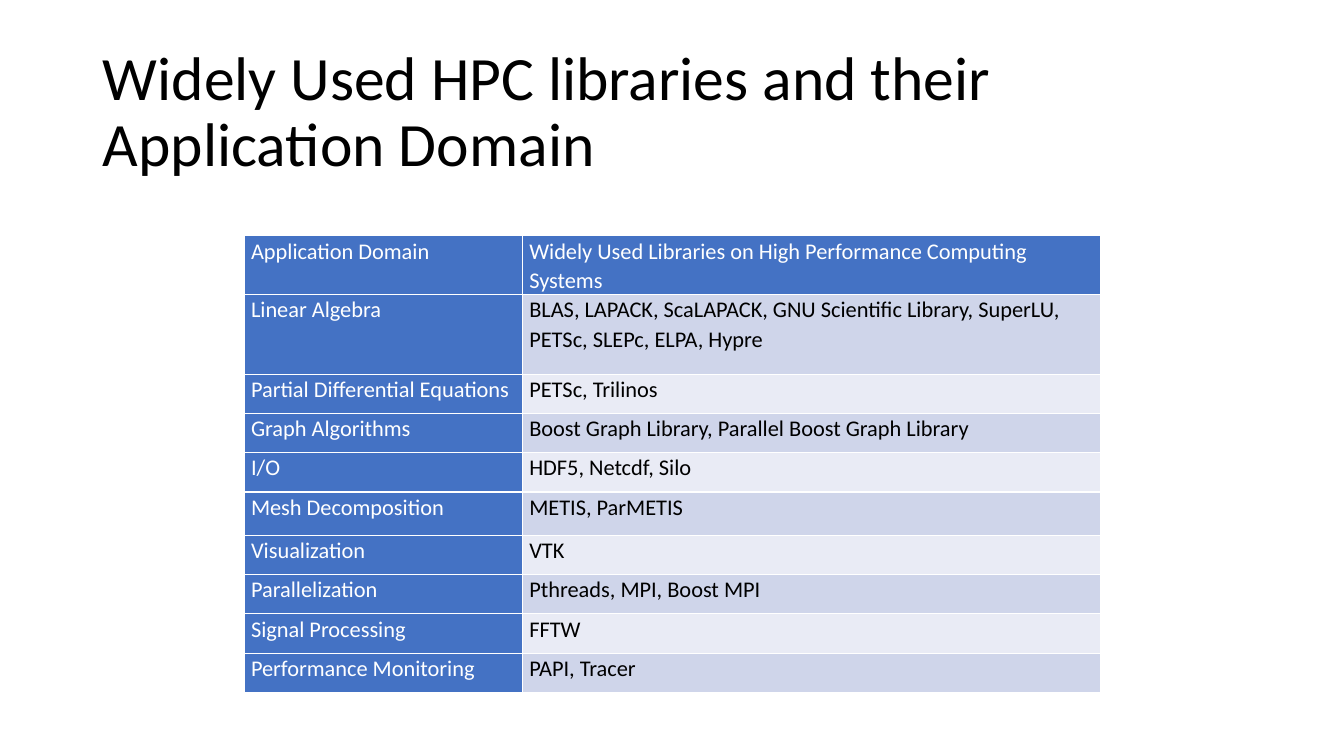
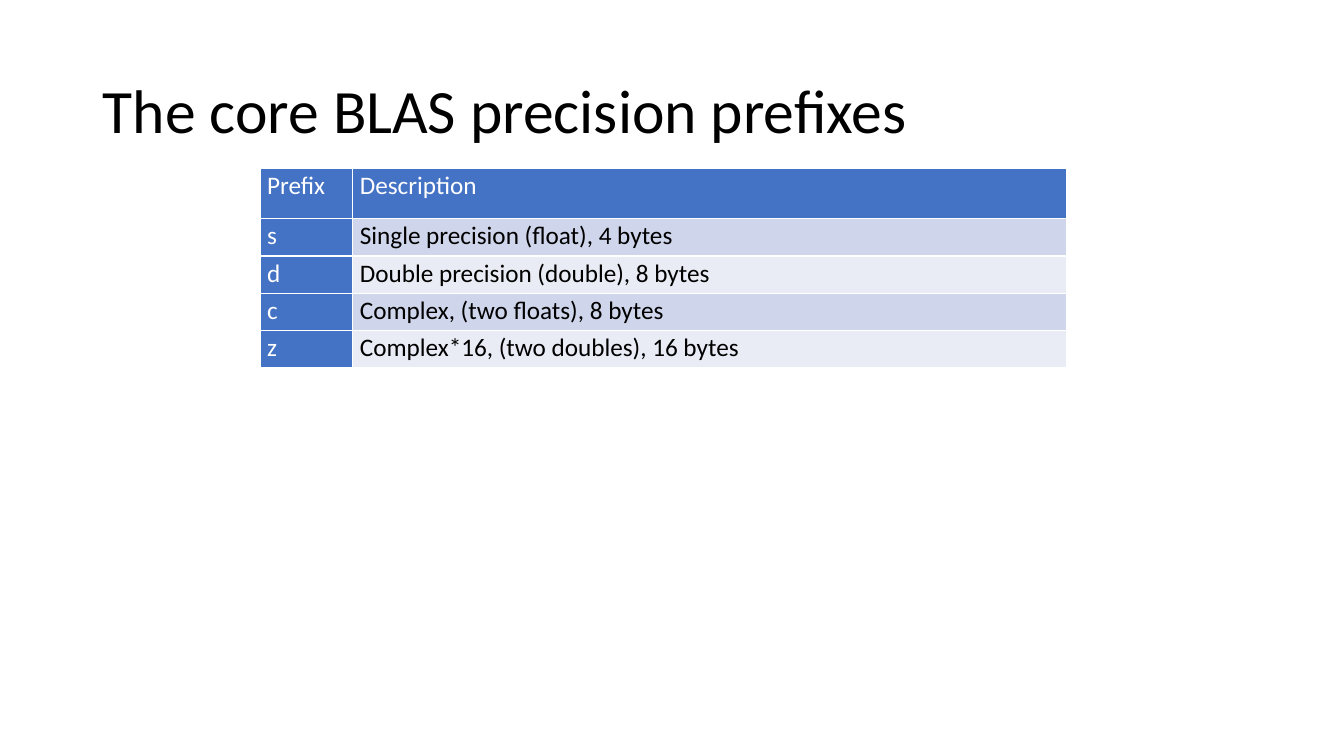
from dataclasses import dataclass

from lxml import etree
from pptx import Presentation, util as u
from pptx.dml.color import RGBColor
from pptx.enum import text
from pptx.oxml.ns import qn

PX = 9144  # EMU per px, 100 px to the inch
FONT = "Calibri"
COLORS = {
    "black": "000000",
    "white": "FFFFFF",
    "blue": "4472C4",
    "band_dark": "CFD5EA",
    "band_light": "E9EBF5",
}


@dataclass
class TableSlide:
    title: str
    left: int
    top: int
    columns: list[int]
    heights: list[int]
    size: int
    rows: list[tuple[str, str]]


SLIDES = [
    TableSlide(
        "Widely Used HPC libraries and their Application Domain",
        242, 234, [276, 574], [58, 79, 39, 39, 39, 43, 39, 39, 39, 39], 16,
        [
            ("Application Domain", "Widely Used Libraries on High Performance Computing Systems"),
            ("Linear Algebra", "BLAS, LAPACK, ScaLAPACK, GNU Scientific Library, SuperLU, "
                               "PETSc, SLEPc, ELPA, Hypre"),
            ("Partial Differential Equations", "PETSc, Trilinos"),
            ("Graph Algorithms", "Boost Graph Library, Parallel Boost Graph Library"),
            ("I/O", "HDF5, Netcdf, Silo"),
            ("Mesh Decomposition", "METIS, ParMETIS"),
            ("Visualization", "VTK"),
            ("Parallelization", "Pthreads, MPI, Boost MPI"),
            ("Signal Processing", "FFTW"),
            ("Performance Monitoring", "PAPI, Tracer"),
        ],
    ),
    TableSlide(
        "The core BLAS precision prefixes",
        258, 167, [92, 708], [50, 37, 37, 37, 37], 18,
        [
            ("Prefix", "Description"),
            ("s", "Single precision (float), 4 bytes"),
            ("d", "Double precision (double), 8 bytes"),
            ("c", "Complex, (two floats), 8 bytes"),
            ("z", "Complex*16, (two doubles), 16 bytes"),
        ],
    ),
]


def px(n: int) -> u.Emu:
    return u.Emu(n * PX)


def rgb(name: str) -> RGBColor:
    return RGBColor.from_string(COLORS[name])


def format_paragraph(p, size: int, color: str, spacing: float) -> None:
    p.alignment = text.PP_ALIGN.LEFT
    p.line_spacing = spacing
    p.font.name, p.font.size, p.font.bold = FONT, u.Pt(size), False
    p.font.color.rgb = rgb(color)


def set_title(s, title: str) -> None:
    sp = s.shapes.title
    sp.left, sp.top, sp.width, sp.height = map(px, (92, 40, 1150, 145))
    tf = sp.text_frame
    tf.text = title
    tf.word_wrap = True
    tf.auto_size = text.MSO_AUTO_SIZE.NONE
    tf.vertical_anchor = text.MSO_ANCHOR.MIDDLE
    format_paragraph(tf.paragraphs[0], 44, "black", 0.9)


def set_borders(cell) -> None:
    tc_pr = cell._tc.get_or_add_tcPr()
    for side in ("lnL", "lnR", "lnT", "lnB"):
        ln = etree.SubElement(tc_pr, qn(f"a:{side}"), w=str(u.Pt(1)))
        fill = etree.SubElement(ln, qn("a:solidFill"))
        etree.SubElement(fill, qn("a:srgbClr"), val=COLORS["white"])


def format_cell(cell, label: str, fill: str, color: str, size: int) -> None:
    cell.margin_left = cell.margin_right = px(7)
    cell.margin_top = cell.margin_bottom = 0
    set_borders(cell)
    cell.fill.solid()
    cell.fill.fore_color.rgb = rgb(fill)
    cell.text = label
    format_paragraph(cell.text_frame.paragraphs[0], size, color, 1.07)


def add_table(s, spec: TableSlide) -> None:
    table = s.shapes.add_table(
        len(spec.rows), len(spec.columns), px(spec.left), px(spec.top),
        px(sum(spec.columns)), px(sum(spec.heights))).table
    for column, width in zip(table.columns, spec.columns):
        column.width = px(width)
    for row, height in zip(table.rows, spec.heights):
        row.height = px(height)
    table.first_col = True
    # Blue header row and first column, banded body
    for i, labels in enumerate(spec.rows):
        for j, label in enumerate(labels):
            if i == 0 or j == 0:
                fill, color = "blue", "white"
            else:
                fill, color = ("band_dark" if i % 2 else "band_light"), "black"
            format_cell(table.cell(i, j), label, fill, color, spec.size)


def main() -> None:
    prs = Presentation()
    prs.slide_width, prs.slide_height = u.Inches(13.33), u.Inches(7.5)
    for spec in SLIDES:
        s = prs.slides.add_slide(prs.slide_layouts[5])  # title only
        set_title(s, spec.title)
        add_table(s, spec)
    prs.save("out.pptx")


if __name__ == "__main__":
    main()
